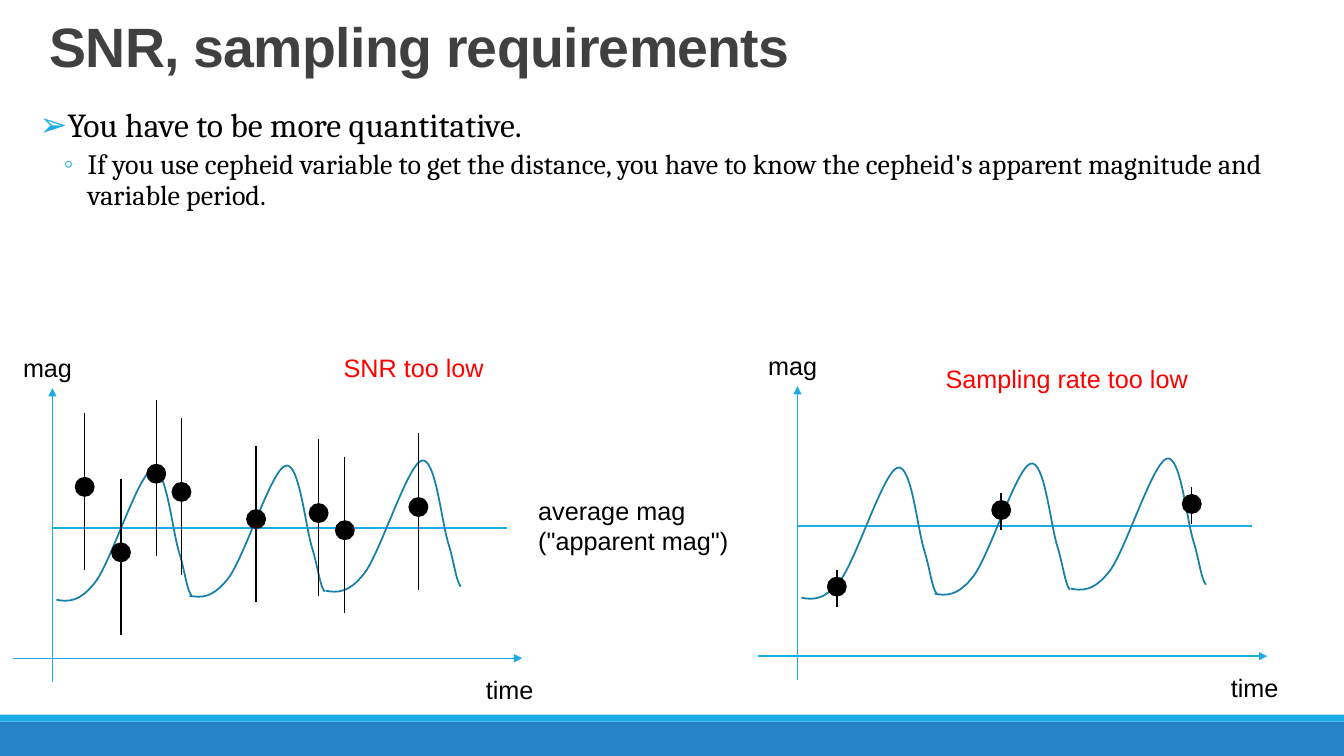
from dataclasses import dataclass

from lxml.etree import SubElement
from pptx import Presentation
from pptx.dml.color import RGBColor
from pptx.enum.shapes import MSO_CONNECTOR, MSO_SHAPE
from pptx.enum.text import MSO_ANCHOR, MSO_AUTO_SIZE, PP_ALIGN
from pptx.oxml.ns import qn
from pptx.util import Pt

PX = 9144  # EMU per px, 100 px to the inch
HUES = {"blue": "2683C6", "sky": "1CADE4", "wave": "1580A9",
        "black": "000000", "grey": "404040", "red": "FF0000"}


@dataclass
class Label:
    text: str
    x: int
    y: int
    w: int
    h: int = 40
    hue: str = "black"


@dataclass
class Plot:
    dx: int
    dy: int
    up: int      # error bar above the dot
    down: int    # error bar below the dot
    dots: list[tuple[int, int]]


@dataclass
class Item:
    text: str
    level: int
    size: int
    mark: str
    left: int
    hang: int
    gaps: dict


PLOTS = [
    Plot(0, 0, 73, 82, [(84, 483), (120, 548), (155, 470), (180, 488),
                        (254, 515), (316, 509), (342, 526), (415, 503)]),
    Plot(739, -2, 17, 20, [(830, 582), (993, 506), (1182, 500)]),
]
LABELS = [
    Label('average mag\n("apparent mag")', 524, 486, 223, 71),
    Label("SNR too low", 331, 345, 182, hue="red"),
    Label("Sampling rate too low", 928, 356, 313, hue="red"),
]
ITEMS = [
    Item("You have to be more quantitative.", 0, 24, "➢", 10, -35,
         {"space_before": Pt(0), "space_after": Pt(2)}),
    Item("If you use cepheid variable to get the distance, you have to know "
         "the cepheid's apparent magnitude and variable period.", 1, 20, "◦", 48, -24,
         {"space_before": Pt(2), "space_after": Pt(4)}),
]

# One period: a start point, then three points for each Bezier arc
WAVE = [(0, 0), (11, 2), (23, 3), (39, -18), (55, -40), (81, -124), (95, -129),
        (109, -134), (115, -67), (122, -46), (128, -26), (129, -11), (134, -4)]
STARTS = [(56, 595), (188, 591), (323, 586)]


def color(hue: str) -> RGBColor:
    return RGBColor.from_string(HUES[hue])


def apply(target, values: dict) -> None:
    for name, value in values.items():
        setattr(target, name, value)


def style(font, hue: str, **values) -> None:
    apply(font, values)
    font.color.rgb = color(hue)


def place(shape, x: int, y: int, w: int, h: int) -> None:
    apply(shape, {"left": x * PX, "top": y * PX, "width": w * PX, "height": h * PX})


def solid(slide, kind, x: int, y: int, w: int, h: int, hue: str):
    shape = slide.shapes.add_shape(kind, x * PX, y * PX, w * PX, h * PX)
    shape.shadow.inherit = False
    shape.fill.solid()
    shape.fill.fore_color.rgb = color(hue)
    shape.line.fill.background()
    return shape


def line(slide, x1: int, y1: int, x2: int, y2: int, hue: str, arrow: bool = False) -> None:
    link = slide.shapes.add_connector(
        MSO_CONNECTOR.STRAIGHT, x1 * PX, y1 * PX, x2 * PX, y2 * PX)
    link.line.color.rgb = color(hue)
    link.line.width = Pt(1)
    props = link._element.spPr
    if arrow:
        SubElement(props.find(qn("a:ln")), qn("a:tailEnd"), type="triangle")
    SubElement(props, qn("a:effectLst"))


def curve(slide, x: int, y: int) -> None:
    knots = WAVE[::3]
    top = min(b for _, b in knots)
    pen = slide.shapes.build_freeform(x, y, scale=PX)
    pen.add_line_segments([(x + a, y + b) for a, b in knots[1:]], close=False)
    shape = pen.convert_to_shape()
    shape.shadow.inherit = False
    shape.fill.background()
    shape.line.color.rgb = color("wave")
    shape.line.width = Pt(1.25)
    # Bend each straight segment into its arc
    for i, seg in enumerate(list(shape._element.iter(qn("a:lnTo")))):
        arc = SubElement(seg.getparent(), qn("a:cubicBezTo"))
        for a, b in WAVE[3 * i + 1:3 * i + 4]:
            SubElement(arc, qn("a:pt"), x=str(a), y=str(b - top))
        seg.getparent().replace(seg, arc)


def write(slide, label: Label) -> None:
    box = slide.shapes.add_textbox(
        label.x * PX, label.y * PX, label.w * PX, label.h * PX)
    frame = box.text_frame
    apply(frame, {"word_wrap": True, "auto_size": MSO_AUTO_SIZE.SHAPE_TO_FIT_TEXT,
                  "text": label.text})
    for para in frame.paragraphs:
        style(para.runs[0].font, label.hue, name="Arial", size=Pt(18))


def draw(slide, plot: Plot) -> None:
    dx, dy = plot.dx, plot.dy
    # Axes and mean line
    line(slide, 52 + dx, 677 + dy, 52 + dx, 385 + dy, "sky", arrow=True)
    line(slide, 13 + dx, 653 + dy, 518 + dx, 653 + dy, "sky", arrow=True)
    line(slide, 52 + dx, 524 + dy, 503 + dx, 524 + dy, "sky")
    write(slide, Label("mag", 13 + dx, 345 + dy, 92))
    write(slide, Label("time", 472 + dx, 664 + dy, 92))
    # Light curve
    for x, y in STARTS:
        curve(slide, x + dx, y + dy)
    # Samples with error bars
    for x, y in plot.dots:
        dot = solid(slide, MSO_SHAPE.OVAL, x - 9, y - 9, 18, 18, "black")
        dot.line.color.rgb = color("black")
        dot.line.width = Pt(1.25)
        line(slide, x, y - plot.up, x, y + plot.down, "black")


def head(slide) -> None:
    title = slide.shapes.title
    place(title, 39, 12, 1257, 71)
    frame = title.text_frame
    apply(frame, {"text": "SNR, sampling requirements", "word_wrap": True,
                  "auto_size": MSO_AUTO_SIZE.NONE, "vertical_anchor": MSO_ANCHOR.BOTTOM})
    para = frame.paragraphs[0]
    apply(para, {"alignment": PP_ALIGN.LEFT, "line_spacing": 0.85})
    run = para.runs[0]
    style(run.font, "grey", name="Arial", size=Pt(39.6), bold=True)
    run._r.get_or_add_rPr().set("spc", "-50")


def body(slide) -> None:
    holder = slide.placeholders[1]
    place(holder, 39, 103, 1257, 574)
    frame = holder.text_frame
    apply(frame, {"margin_left": 0, "margin_right": 0, "margin_top": 5 * PX,
                  "margin_bottom": 5 * PX, "word_wrap": True,
                  "auto_size": MSO_AUTO_SIZE.NONE, "vertical_anchor": MSO_ANCHOR.TOP})
    for i, item in enumerate(ITEMS):
        para = frame.add_paragraph() if i else frame.paragraphs[0]
        apply(para, {"level": item.level, "line_spacing": 0.9, **item.gaps})
        props = para._p.get_or_add_pPr()
        props.set("marL", str(item.left * PX))
        props.set("indent", str(item.hang * PX))
        tint = SubElement(props, qn("a:buClr"))
        SubElement(tint, qn("a:srgbClr"), val=HUES["sky"])
        SubElement(props, qn("a:buChar"), char=item.mark)
        run = para.add_run()
        run.text = item.text
        style(run.font, "black", name="Cambria", size=Pt(item.size))


def main() -> None:
    deck = Presentation()
    apply(deck, {"slide_width": 1333 * PX, "slide_height": 750 * PX})
    slide = deck.slides.add_slide(deck.slide_layouts[1])
    # Footer bands
    solid(slide, MSO_SHAPE.RECTANGLE, 0, 716, 1333, 34, "blue")
    solid(slide, MSO_SHAPE.RECTANGLE, 0, 709, 1333, 7, "sky")
    # Heading and list
    head(slide)
    body(slide)
    # Plots and notes
    for plot in PLOTS:
        draw(slide, plot)
    for label in LABELS:
        write(slide, label)
    deck.save("out.pptx")


if __name__ == "__main__":
    main()
